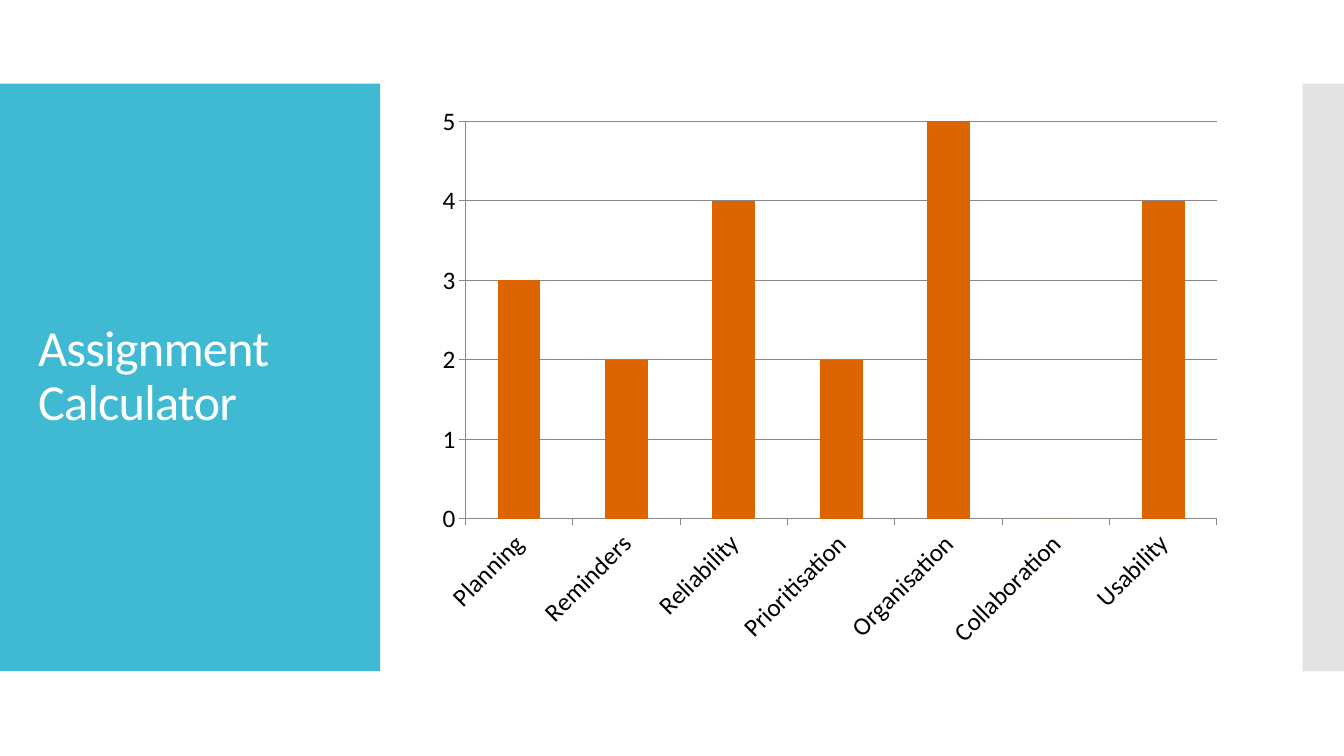
from dataclasses import dataclass

from lxml import etree
from pptx import Presentation
from pptx import util as u
from pptx.chart.data import CategoryChartData
from pptx.dml.color import RGBColor
from pptx.enum import chart as ch, shapes, text
from pptx.oxml.ns import qn

PX = 9144  # EMU in one px, 100 px to the inch


@dataclass(frozen=True)
class Theme:
    teal: str = "40BAD2"
    grey: str = "C8C8C8"
    bar: str = "DD6500"
    line: str = "878787"
    ink: str = "000000"
    white: str = "FFFFFF"
    font: str = "Calibri"
    title: int = 36
    label: int = 18


@dataclass(frozen=True)
class Box:
    left: int
    top: int
    width: int
    height: int

    def emu(self) -> tuple:
        return tuple(n * PX for n in (self.left, self.top, self.width, self.height))


@dataclass(frozen=True)
class Panel:
    box: Box
    fill: str
    alpha: int = 100


THEME = Theme()
PANELS = (
    Panel(Box(0, 83, 377, 583), THEME.teal),
    Panel(Box(1292, 83, 41, 583), THEME.grey, 50),
)
SCORES = {
    "Planning": 3,
    "Reminders": 2,
    "Reliability": 4,
    "Prioritisation": 2,
    "Organisation": 5,
    "Collaboration": 0,
    "Usability": 4,
}


def style(font, size: int, color: str) -> None:
    font.name = THEME.font
    font.size = u.Pt(size)
    font.color.rgb = RGBColor.from_string(color)


def add_panel(slide, panel: Panel) -> None:
    shape = slide.shapes.add_shape(shapes.MSO_SHAPE.RECTANGLE, *panel.box.emu())
    shape.shadow.inherit = False
    shape.line.fill.background()
    shape.fill.solid()
    shape.fill.fore_color.rgb = RGBColor.from_string(panel.fill)
    if panel.alpha < 100:
        color = shape._element.spPr.find(".//" + qn("a:srgbClr"))
        etree.SubElement(color, qn("a:alpha"), val=str(panel.alpha * 1000))


def add_title(slide, box: Box, words: str) -> None:
    frame = slide.shapes.add_textbox(*box.emu()).text_frame
    frame.word_wrap = True
    frame.vertical_anchor = text.MSO_ANCHOR.MIDDLE
    para = frame.paragraphs[0]
    para.line_spacing = 0.9
    run = para.add_run()
    run.text = words
    style(para.font, THEME.title, THEME.white)
    run.font._element.set("spc", "-60")


def add_scores(slide, box: Box, scores: dict[str, int]) -> None:
    data = CategoryChartData()
    data.categories = list(scores)
    data.add_series("Series 1", list(scores.values()))
    kind = ch.XL_CHART_TYPE.COLUMN_CLUSTERED
    chart = slide.shapes.add_chart(kind, *box.emu(), data).chart
    chart.has_title = False
    chart.has_legend = False
    style(chart.font, THEME.label, THEME.ink)

    plot = chart.plots[0]
    plot.gap_width = 150
    plot.vary_by_categories = False
    fill = plot.series[0].format.fill
    fill.solid()
    fill.fore_color.rgb = RGBColor.from_string(THEME.bar)

    cat, val = chart.category_axis, chart.value_axis
    val.minimum_scale, val.maximum_scale, val.major_unit = 0, 5, 1
    val.has_major_gridlines = True
    for axis in (cat, val):
        axis.major_tick_mark = ch.XL_TICK_MARK.OUTSIDE
        style(axis.tick_labels.font, THEME.label, THEME.ink)
    for part in (cat, val, val.major_gridlines):
        part.format.line.color.rgb = RGBColor.from_string(THEME.line)
        part.format.line.width = u.Pt(0.75)
    body = cat._element.find(qn("c:txPr")).find(qn("a:bodyPr"))
    body.set("rot", "-2700000")  # 45 degrees, rising


def main() -> None:
    deck = Presentation()
    deck.slide_width, deck.slide_height = 1333 * PX, 750 * PX
    slide = deck.slides.add_slide(deck.slide_layouts[6])
    for panel in PANELS:
        add_panel(slide, panel)
    add_title(slide, Box(28, 123, 322, 503), "Assignment Calculator")
    add_scores(slide, Box(423, 94, 800, 560), SCORES)
    deck.save("out.pptx")


if __name__ == "__main__":
    main()
